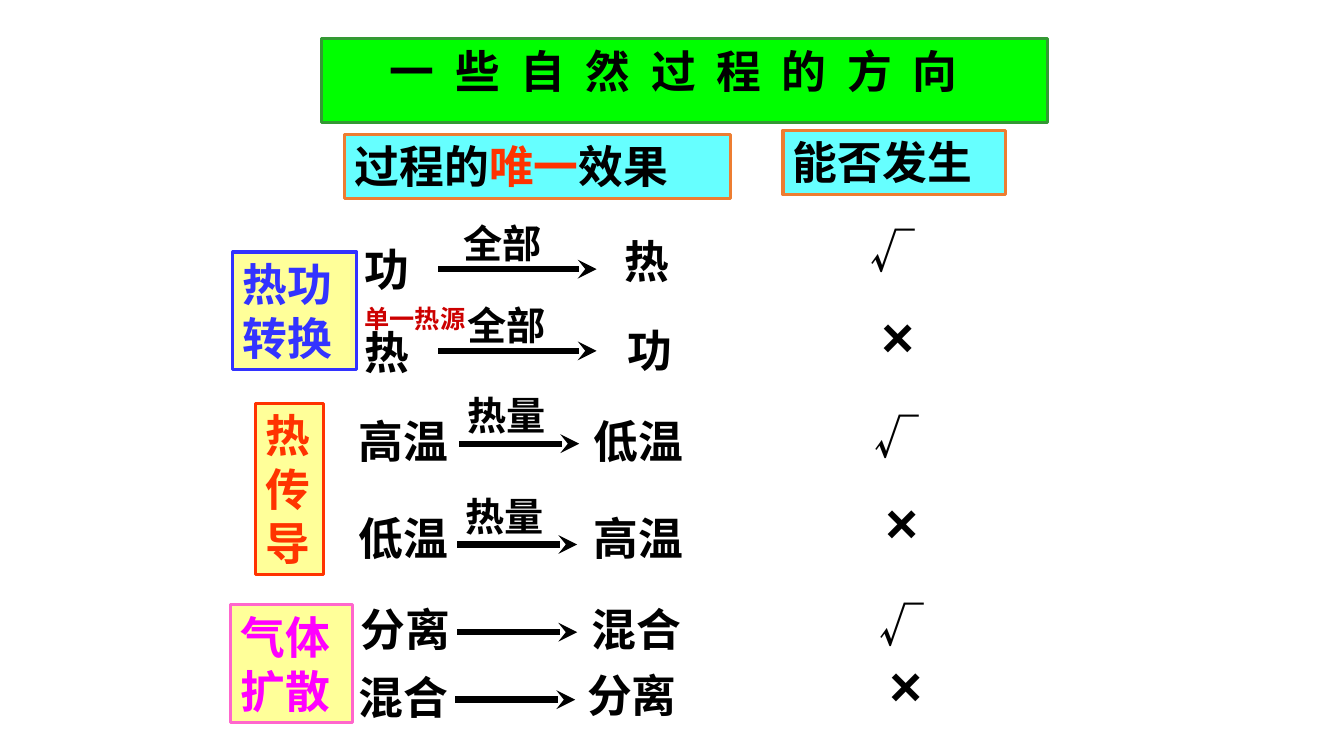
from dataclasses import dataclass

from lxml.etree import SubElement
from pptx import Presentation
from pptx.dml.color import RGBColor
from pptx.enum.shapes import MSO_CONNECTOR, MSO_SHAPE
from pptx.enum.text import MSO_ANCHOR, MSO_AUTO_SIZE, PP_ALIGN
from pptx.oxml.ns import qn
from pptx.shapes.autoshape import Shape
from pptx.slide import Slide
from pptx.util import Cm, Pt

BLACK = RGBColor(0x00, 0x00, 0x00)
GREEN = RGBColor(0x00, 0xFF, 0x00)
DARK_GREEN = RGBColor(0x33, 0x99, 0x33)
CYAN = RGBColor(0x66, 0xFF, 0xFF)
ORANGE = RGBColor(0xED, 0x7D, 0x31)
YELLOW = RGBColor(0xFF, 0xFF, 0x99)
BLUE = RGBColor(0x33, 0x33, 0xFF)
RED = RGBColor(0xFF, 0x33, 0x00)
DARK_RED = RGBColor(0xCC, 0x00, 0x00)
PINK = RGBColor(0xFF, 0x66, 0xCC)
MAGENTA = RGBColor(0xFF, 0x00, 0xFF)

TEXT_FONT = "Times New Roman"
LINE_HEIGHT = 1.63
TERM_WIDTHS = {1: 1.7, 2: 2.95}


@dataclass(frozen=True)
class Panel:
    """A filled, outlined box; accent names the runs shown in red."""
    text: str
    left: float
    top: float
    width: float
    height: float
    fill: RGBColor
    line: RGBColor
    color: RGBColor = BLACK
    accent: str = ""


@dataclass(frozen=True)
class Label:
    text: str
    left: float
    top: float


@dataclass(frozen=True)
class Process:
    source: Label
    target: Label
    arrow_left: float
    arrow_top: float
    arrow_length: float
    verdict: Label
    carrier: Label | None = None


PANELS = [
    Panel("过程的唯一效果", 8.69, 3.38, 9.73, LINE_HEIGHT, CYAN, ORANGE, accent="唯一"),
    Panel("能否发生", 19.74, 3.28, 5.61, LINE_HEIGHT, CYAN, ORANGE),
    Panel("热功转换", 5.87, 6.35, 3.12, 2.97, YELLOW, BLUE, BLUE),
    Panel("热传导", 6.45, 10.16, 1.7, 4.32, YELLOW, RED, RED),
    Panel("气体扩散", 5.82, 15.24, 3.07, 2.97, YELLOW, PINK, MAGENTA),
]

PROCESSES = [
    Process(Label("功", 8.94, 5.97), Label("热", 15.49, 5.77), 11.05, 6.78, 3.99,
            Label("√", 21.69, 5.51), Label("全部", 11.43, 5.41)),
    Process(Label("热", 8.94, 8.05), Label("功", 15.57, 8), 11.05, 8.84, 3.99,
            Label("×", 21.97, 7.47), Label("全部", 11.53, 7.47)),
    Process(Label("高温", 8.79, 10.31), Label("低温", 14.71, 10.31), 11.58, 11.18, 3.02,
            Label("√", 21.79, 10.21), Label("热量", 11.53, 9.73)),
    Process(Label("低温", 8.79, 12.75), Label("高温", 14.71, 12.75), 11.53, 13.72, 3.02,
            Label("×", 22.07, 12.17), Label("热量", 11.48, 12.27)),
    Process(Label("分离", 8.84, 15.04), Label("混合", 14.66, 15.04), 11.53, 15.93, 3.02,
            Label("√", 21.92, 14.94)),
    Process(Label("混合", 8.79, 16.76), Label("分离", 14.55, 16.71), 11.48, 17.63, 3.02,
            Label("×", 22.17, 16.26)),
]


def write_text(shape: Shape, text: str, size: float = 32, color: RGBColor = BLACK,
               font_name: str = TEXT_FONT, accent: str = "", wrap: bool = True) -> None:
    frame = shape.text_frame
    frame.word_wrap = wrap
    frame.auto_size = MSO_AUTO_SIZE.SHAPE_TO_FIT_TEXT
    frame.vertical_anchor = MSO_ANCHOR.TOP
    paragraph = frame.paragraphs[0]
    paragraph.alignment = PP_ALIGN.LEFT
    paragraph.font.name = font_name
    paragraph.font.size = Pt(size)
    paragraph.font.bold = True
    paragraph.font.color.rgb = color
    for part in (text.partition(accent) if accent else (text,)):
        run = paragraph.add_run()
        run.text = part
        if accent:
            run.font.color.rgb = RED if part == accent else color
        elif shape.shape_type is not None and not shape.is_placeholder:
            run.font.color.rgb = color


def paint(shape: Shape, fill: RGBColor, line: RGBColor) -> None:
    shape.fill.solid()
    shape.fill.fore_color.rgb = fill
    shape.line.color.rgb = line
    shape.line.width = Pt(2.25)


def format_title(slide: Slide) -> None:
    title = slide.shapes.title
    title.left, title.top, title.width, title.height = Cm(8.1), Cm(0.97), Cm(18.31), Cm(LINE_HEIGHT)
    paint(title, GREEN, DARK_GREEN)
    write_text(title, "一 些 自 然 过 程 的 方 向")
    title.text_frame.margin_left = Cm(1.73)
    for run in title.text_frame.paragraphs[0].runs:
        run._r.get_or_add_rPr().set("spc", "370")


def add_panel(slide: Slide, panel: Panel) -> None:
    shape = slide.shapes.add_shape(MSO_SHAPE.RECTANGLE, Cm(panel.left), Cm(panel.top),
                                   Cm(panel.width), Cm(panel.height))
    shape.shadow.inherit = False
    paint(shape, panel.fill, panel.line)
    write_text(shape, panel.text, color=panel.color, accent=panel.accent)


def add_label(slide: Slide, label: Label, width: float, height: float = LINE_HEIGHT,
              size: float = 32, color: RGBColor = BLACK, font_name: str = TEXT_FONT,
              wrap: bool = True) -> None:
    box = slide.shapes.add_textbox(Cm(label.left), Cm(label.top), Cm(width), Cm(height))
    write_text(box, label.text, size, color, font_name, wrap=wrap)


def add_arrow(slide: Slide, left: float, top: float, length: float) -> None:
    arrow = slide.shapes.add_connector(MSO_CONNECTOR.STRAIGHT, Cm(left), Cm(top),
                                       Cm(left + length), Cm(top))
    arrow.line.color.rgb = BLACK
    arrow.line.width = Pt(4.5)
    SubElement(arrow.line._get_or_add_ln(), qn("a:tailEnd"), type="stealth")
    SubElement(arrow._element.spPr, qn("a:effectLst"))


def add_process(slide: Slide, process: Process) -> None:
    for term in (process.source, process.target):
        add_label(slide, term, TERM_WIDTHS[len(term.text)])
    add_arrow(slide, process.arrow_left, process.arrow_top, process.arrow_length)
    if process.carrier:
        add_label(slide, process.carrier, 2.8, 1.45, 28)
    if process.verdict.text == "√":
        add_label(slide, process.verdict, 3.18, font_name="Noto Sans CJK SC")
    else:
        add_label(slide, process.verdict, 3.91, 1.96, 40, font_name="Arial")


def main() -> None:
    presentation = Presentation()
    presentation.slide_width, presentation.slide_height = Cm(33.88), Cm(19.05)
    slide = presentation.slides.add_slide(presentation.slide_layouts.get_by_name("Title Only"))
    format_title(slide)
    for panel in PANELS:
        add_panel(slide, panel)
    for process in PROCESSES:
        add_process(slide, process)
    add_label(slide, Label("单一热源", 8.94, 7.52), 3.05, 1.02, 18, DARK_RED, wrap=False)
    presentation.save("out.pptx")


if __name__ == "__main__":
    main()
